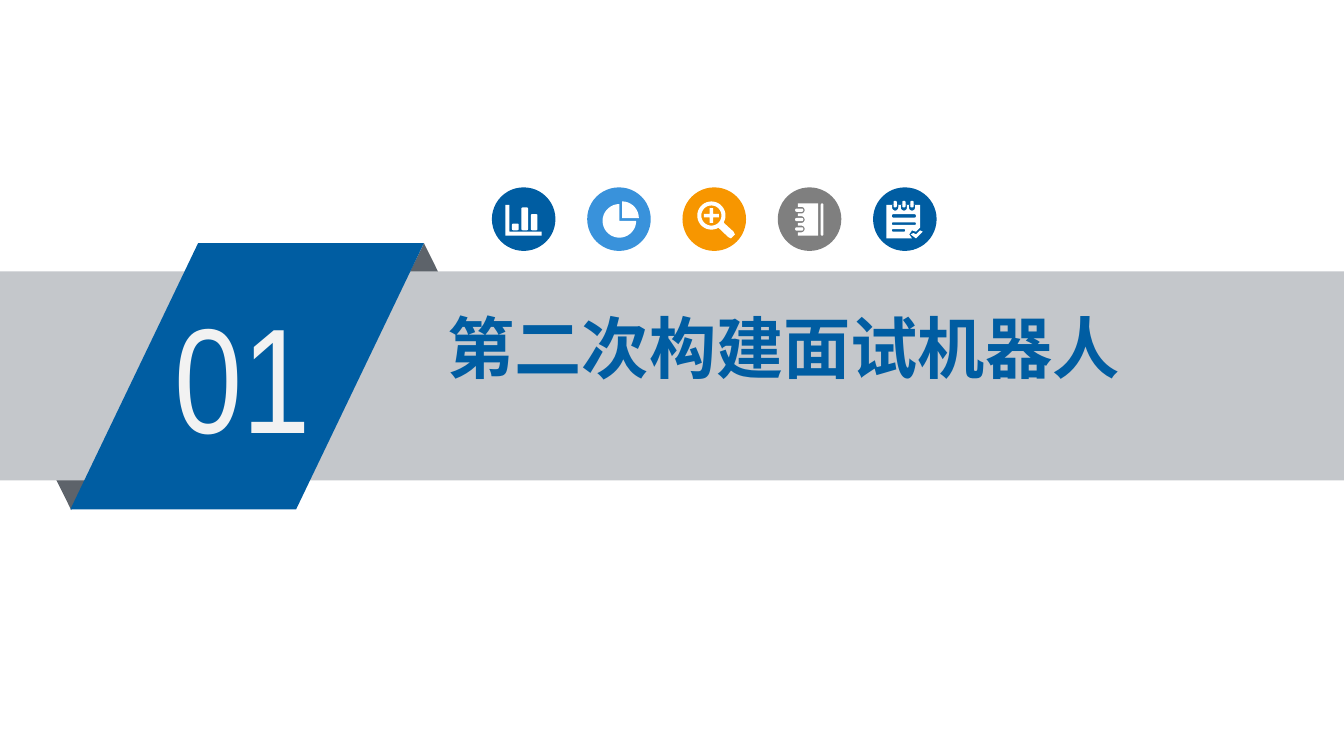
"""Build a section title slide with a folded ribbon and five icon badges."""
import math

import lxml.etree
import pptx
import pptx.dml.color
import pptx.enum.shapes
import pptx.enum.text
import pptx.oxml.ns
import pptx.util

RGBColor = pptx.dml.color.RGBColor
SHAPES = pptx.enum.shapes.MSO_SHAPE
BLUE = RGBColor(0x00, 0x5D, 0xA2)
LIGHT_BLUE = RGBColor(0x39, 0x92, 0xDB)
ORANGE = RGBColor(0xF7, 0x96, 0x00)
GREY = RGBColor(0x7F, 0x7F, 0x7F)
BAND_GREY = RGBColor(0xC4, 0xC7, 0xCB)
FOLD_GREY = RGBColor(0x5D, 0x63, 0x6A)
WHITE = RGBColor(0xFF, 0xFF, 0xFF)
OFF_WHITE = RGBColor(0xF2, 0xF2, 0xF2)

COLUMNS, ROWS = 1000, 562.5
CELL = pptx.util.Inches(0.01)
FINE = 100
BADGE_LEFT, BADGE_TOP, BADGE_SIZE, BADGE_STEP = 366, 139.4, 47.3, 70.9


def cells(*counts):
    return [pptx.util.Emu(round(count * CELL)) for count in counts]


def paint(shape, colour):
    shape.shadow.inherit = False
    shape.fill.solid()
    shape.fill.fore_color.rgb = colour
    shape.line.fill.background()
    return shape


def add_block(slide, kind, left, top, width, height, colour):
    return paint(slide.shapes.add_shape(kind, *cells(left, top, width, height)), colour)


def add_text(slide, text, left, top, width, height, *, size, font, colour, bold=False, inset=7.5):
    box = slide.shapes.add_textbox(*cells(left, top, width, height))
    frame = box.text_frame
    frame.word_wrap = True
    frame.auto_size = pptx.enum.text.MSO_AUTO_SIZE.SHAPE_TO_FIT_TEXT
    frame.margin_left = frame.margin_right = cells(inset)[0]
    frame.margin_top = frame.margin_bottom = cells(4)[0]
    run = frame.paragraphs[0].add_run()
    run.text = text
    run.font.size = pptx.util.Pt(size)
    run.font.bold = bold
    run.font.color.rgb = colour
    run.font.name = font
    east_asian = lxml.etree.SubElement(run.font._element, pptx.oxml.ns.qn("a:ea"))
    east_asian.set("typeface", font)


def arc(x, y, radius, start=0, end=360):
    steps = max(4, (end - start) // 10)
    angles = [math.radians(start + (end - start) * i / steps) for i in range(steps + 1)]
    return [(x + radius * math.cos(a), y + radius * math.sin(a)) for a in angles]


def bar(left, top, width, height, radius=1):
    right, bottom = left + width - radius, top + height - radius
    corners = [(right, bottom), (left + radius, bottom),
               (left + radius, top + radius), (right, top + radius)]
    return [point for i, (x, y) in enumerate(corners)
            for point in arc(x, y, radius, 90 * i, 90 * i + 90)]


def chart_icon():
    axes = [(10, 13), (13, 13), (13, 33), (37, 33), (37, 36), (10, 36)]
    return [axes, bar(15, 27, 5, 5), bar(22, 15, 5, 17), bar(29, 20, 5, 12)]


def pie_icon():
    return [[(26, 23)] + arc(26, 23, 12.5, 270, 360),
            [(24, 25)] + arc(24, 25, 12.5, 0, 270)]


def magnifier_icon():
    x, y, arm, half = 21.5, 21, 5.5, 1.3
    body = arc(x, y, 10.5, 60, 390) + [(38, 33), (39, 35), (36, 38), (34, 37)]
    quarter = [(arm, -half), (arm, half), (half, half)]
    plus = []
    for _ in range(4):
        plus += [(x + dx, y + dy) for dx, dy in quarter]
        quarter = [(-dy, dx) for dx, dy in quarter]
    return [body, arc(x, y, 7.5), plus]


def notebook_icon():
    rings = [17, 24, 31]
    cover = [(30, 36), (30, 12), (15, 12)]
    for y in rings:
        cover += [(15, y - 2.5)] + arc(17.5, y, 2.5, -90, 90) + [(15, y + 2.5)]
    return [cover + [(15, 36)], bar(32, 12, 2, 24)] + [bar(13, y - 1.2, 6, 2.4) for y in rings]


def notepad_icon():
    page = [(10, 13), (35, 13), (35, 30), (32, 33), (29, 32), (27, 35), (29, 38), (10, 38)]
    tick = [(28, 35), (30, 34), (32, 35), (35, 32), (37, 33), (32, 38)]
    lines = [bar(14, 20, 18, 2.5), bar(14, 26, 18, 2), bar(14, 31, 10, 2)]
    rings = [16.5, 23, 29]
    slots = [[(x - 2.3, 13), (x + 2.3, 13)] + arc(x, 15, 2.3, 0, 180) for x in rings]
    return [page, tick] + lines + slots + [bar(x - 1.2, 10, 2.4, 5) for x in rings]


def add_badge(slide, column, colour, outlines):
    left = BADGE_LEFT + column * BADGE_STEP
    add_block(slide, SHAPES.OVAL, left, BADGE_TOP, BADGE_SIZE, BADGE_SIZE, colour)
    outlines = [[(x * FINE, y * FINE) for x, y in outline] for outline in outlines]
    builder = slide.shapes.build_freeform(*outlines[0][0], scale=CELL / FINE)
    builder.add_line_segments(outlines[0][1:])
    for outline in outlines[1:]:
        builder.move_to(*outline[0])
        builder.add_line_segments(outline[1:])
    paint(builder.convert_to_shape(*cells(left, BADGE_TOP)), WHITE)


def add_ribbon(slide):
    add_block(slide, SHAPES.ISOSCELES_TRIANGLE, 270.5, 181, 90, 91, FOLD_GREY)
    lower_fold = add_block(slide, SHAPES.ISOSCELES_TRIANGLE, 8, 288.5, 90, 91, FOLD_GREY)
    lower_fold.rotation = 180
    add_block(slide, SHAPES.RECTANGLE, 0, 202, COLUMNS, 155.4, BAND_GREY)
    panel = add_block(slide, SHAPES.PARALLELOGRAM, 52.4, 181, 263, 198, BLUE)
    panel.adjustments[0] = 0.48


def main():
    presentation = pptx.Presentation()
    presentation.slide_width, presentation.slide_height = cells(COLUMNS, ROWS)
    slide = presentation.slides.add_slide(presentation.slide_layouts[6])
    add_ribbon(slide)
    add_text(slide, "01", 122.5, 207.5, 145, 142, size=80, font="Arial Narrow",
             colour=OFF_WHITE, inset=7)
    add_text(slide, "第二次构建面试机器人", 325.5, 224, 665, 68, size=36,
             font="Noto Sans CJK SC", colour=BLUE, bold=True)
    badges = [(BLUE, chart_icon), (LIGHT_BLUE, pie_icon), (ORANGE, magnifier_icon),
              (GREY, notebook_icon), (BLUE, notepad_icon)]
    for column, (colour, icon) in enumerate(badges):
        add_badge(slide, column, colour, icon())
    presentation.save("out.pptx")


if __name__ == "__main__":
    main()
